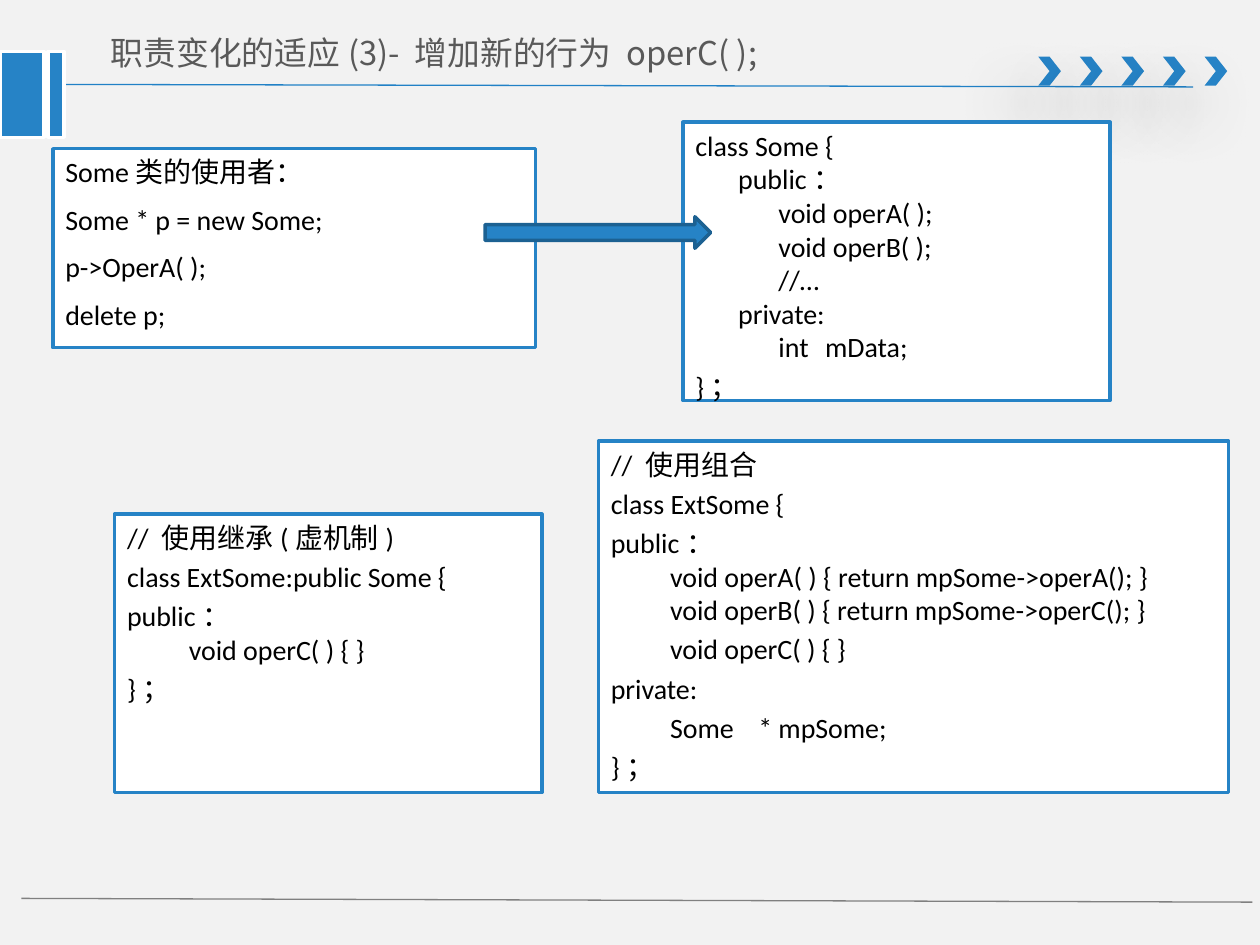
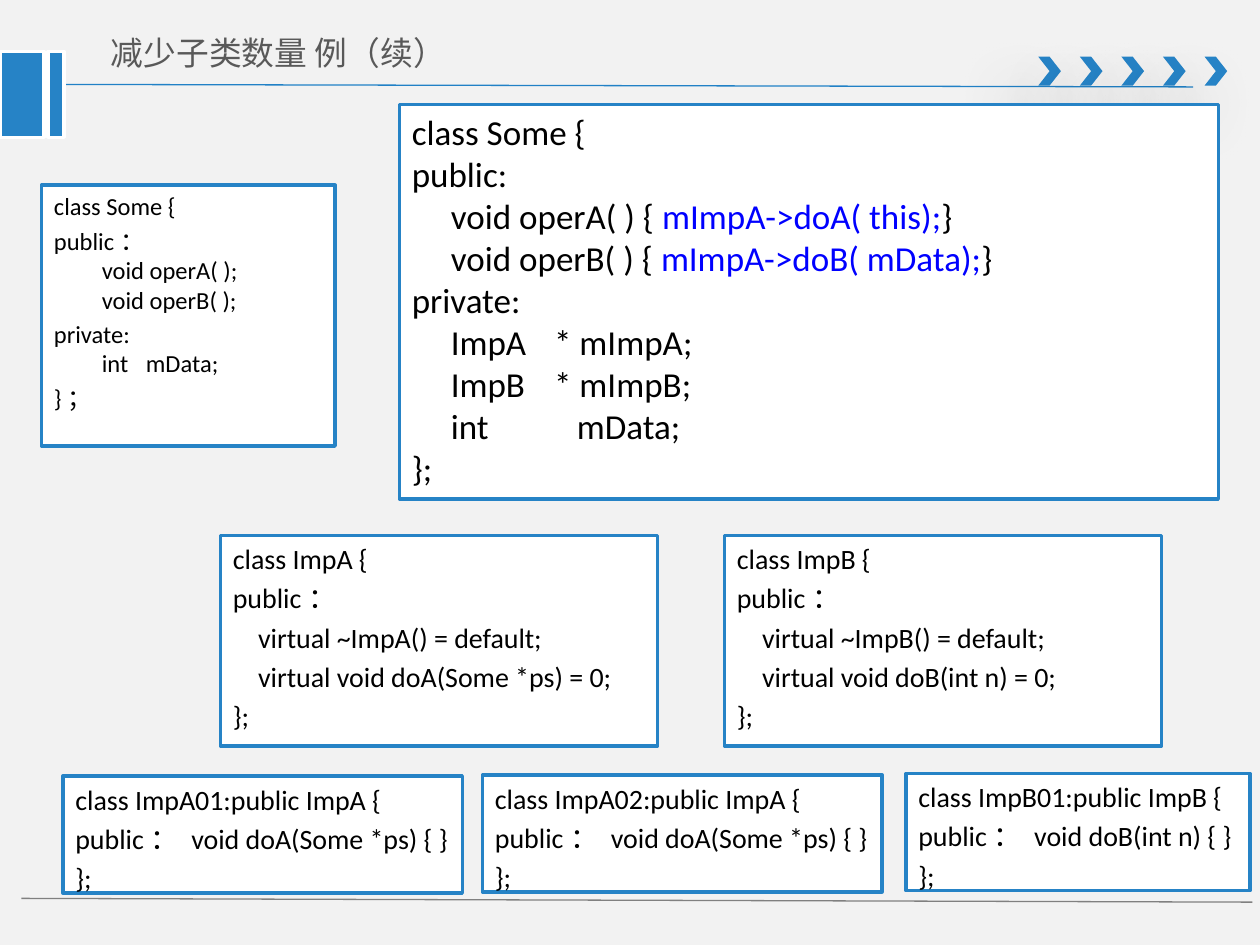
from lxml.etree import SubElement
from pptx import Presentation
from pptx.dml.color import RGBColor
from pptx.enum.shapes import MSO_CONNECTOR as Connector, MSO_SHAPE as Shape
from pptx.enum.text import MSO_ANCHOR as Anchor, MSO_AUTO_SIZE as AutoSize, PP_ALIGN as Align
from pptx.oxml.ns import qn
from pptx.util import Inches, Pt

# ---- Content: one grid unit is a tenth of the slide's width ----
# In code, each item is a block; "\n" starts a new line of the same block,
# "\t" moves to the next tab stop and |...| marks delegated calls.
COLUMNS, ROWS = 10, 7.5


def implementor(letter, parameter):
    return [f"class Imp{letter} {{", "public：", f"\tvirtual ~Imp{letter}() = default;",
            f"\tvirtual void do{letter}({parameter}) = 0;", "};"]


def concrete(letter, number, parameter):
    return [f"class Imp{letter}{number}:public Imp{letter} {{",
            f"public：\tvoid do{letter}({parameter}) {{ }}", "};"]


SLIDES = [
    {
        "title": "职责变化的适应(3)- 增加新的行为 operC( );",
        "title_width": 7.18,
        "boxes": [
            {"at": (5.42, 0.97, 3.39, 2.21), "stops": (0.34, 0.66, 1.03), "code": [
                "class Some {\n\tpublic：\n\t\tvoid operA( );\n\t\tvoid operB( );\n"
                "\t\t//…\n\tprivate:\n\t\tint\tmData;",
                "}；"]},
            {"at": (0.91, 4.08, 3.39, 2.21), "stops": (0.49,), "code": [
                "// 使用继承(虚机制)",
                "class ExtSome:public Some {",
                "public：\n\tvoid operC( ) { }",
                "}；"]},
            {"at": (4.75, 3.5, 5, 2.79), "stops": (0.47, 1.17), "code": [
                "// 使用组合",
                "class ExtSome {",
                "public：\n\tvoid operA( ) { return mpSome->operA(); }\n"
                "\tvoid operB( ) { return mpSome->operC(); }",
                "\tvoid operC( ) { }",
                "private:",
                "\tSome\t* mpSome;",
                "}；"]},
            {"at": (0.42, 1.18, 3.83, 1.58), "gap": 0.5, "code": [
                "Some类的使用者：", "Some * p = new Some;", "p->OperA( );", "delete p;"]},
        ],
        "arrow": (3.85, 1.72, 1.79, 0.25),
    },
    {
        "title": "减少子类数量 例（续）",
        "title_width": 3.47,
        "boxes": [
            {"at": (0.33, 1.47, 2.33, 2.07), "size": 14, "stops": (0.38, 0.73), "code": [
                "class Some {",
                "public：\n\tvoid operA( );\n\tvoid operB( );",
                "private:\n\tint\tmData;",
                "}；"]},
            {"at": (3.17, 0.83, 6.5, 3.13), "size": 20, "gap": 0, "stops": (0.31, 1.13, 1.31),
             "code": [
                "class Some {",
                "public:",
                "\tvoid operA( ) { |mImpA->doA( this);|}",
                "\tvoid operB( ) { |mImpA->doB( mData);|}",
                "private:",
                "\tImpA\t* mImpA;",
                "\tImpB\t* mImpB;",
                "\tint\t\tmData;",
                "};"]},
            {"at": (1.75, 4.25, 3.47, 1.67), "stops": (0.2,), "code": implementor("A", "Some *ps")},
            {"at": (5.75, 4.25, 3.47, 1.67), "stops": (0.2,), "code": implementor("B", "int n")},
            {"at": (0.5, 6.16, 3.17, 0.93), "stops": (0.92,),
             "code": concrete("A", "01", "Some *ps")},
            {"at": (3.83, 6.15, 3.17, 0.93), "stops": (0.92,),
             "code": concrete("A", "02", "Some *ps")},
            {"at": (7.19, 6.14, 2.73, 0.93), "stops": (0.92,),
             "code": concrete("B", "01", "int n")},
        ],
    },
]

# ---- Shared look ----
COLORS = {"paper": "F2F2F2", "accent": "2683C6", "rule": "2181C6", "arrow_edge": "1C6192",
          "footer": "808080", "white": "FFFFFF", "title": "595959", "code": "000000",
          "call": "0000FF", "shadow": "000000"}
CODE_FONT, CJK_FONT = "Calibri", "Noto Sans CJK SC"
RULES = [((0.4, 0.67), (9.47, 0.69), "rule"), ((0.17, 7.13), (9.94, 7.16), "footer")]
BANDS = [(0, 0.41, 0.35, 0.68), (0.38, 0.41, 0.13, 0.68)]
CHEVRONS, CHEVRON_STEP, CHEVRON_AT = 5, 0.33, (8.24, 0.45, 0.18, 0.23)


def rgb(name):
    return RGBColor.from_string(COLORS[name])


def add_run(paragraph, text, size, font, color):
    run = paragraph.add_run()
    run.text = text
    run.font.size, run.font.name = Pt(size), font
    run.font.color.rgb = rgb(color)
    SubElement(run.font._element, qn("a:ea"), typeface=CJK_FONT)


def add_figure(slide, kind, at, fill, edge=None):
    figure = slide.shapes.add_shape(kind, *map(Inches, at))
    figure.shadow.inherit = False
    figure.fill.solid()
    figure.fill.fore_color.rgb = rgb(fill)
    if edge:
        figure.line.color.rgb = rgb(edge)
        figure.line.width = Pt(2)
    else:
        figure.line.fill.background()
    return figure


def add_soft_shadow(figure):
    effects = figure._element.spPr.find(qn("a:effectLst"))
    shadow = SubElement(effects, qn("a:outerShdw"), blurRad=str(Pt(36)), dist=str(Pt(24)),
                        dir=str(130 * 60000), rotWithShape="0")
    color = SubElement(shadow, qn("a:srgbClr"), val=COLORS["shadow"])
    SubElement(color, qn("a:alpha"), val="38000")


def add_frame(slide):
    """Background, rules, chevrons and side bands of every slide."""
    slide.background.fill.solid()
    slide.background.fill.fore_color.rgb = rgb("paper")
    for start, end, color in RULES:
        rule = slide.shapes.add_connector(Connector.STRAIGHT, *map(Inches, start + end))
        rule.line.color.rgb = rgb(color)
        rule.line.width = Pt(0.75)
        SubElement(rule._element.spPr, qn("a:effectLst"))
    left, *rest = CHEVRON_AT
    for index in range(CHEVRONS):
        at = (left + index * CHEVRON_STEP, *rest)
        add_soft_shadow(add_figure(slide, Shape.CHEVRON, at, "accent"))
    for band in BANDS:
        add_figure(slide, Shape.RECTANGLE, band, "accent", "white")


def set_title(slide, text, width):
    title = slide.shapes.title
    title.left, title.top, title.width, title.height = map(Inches, (0.74, 0.14, width, 0.55))
    frame = title.text_frame
    frame.auto_size, frame.word_wrap = AutoSize.NONE, True
    frame.vertical_anchor = Anchor.MIDDLE
    frame.margin_left = frame.margin_right = Inches(0.14)
    frame.margin_top = frame.margin_bottom = Inches(0.07)
    heading = frame.paragraphs[0]
    heading.alignment = Align.LEFT
    add_run(heading, text, 18.7, CJK_FONT, "title")


def set_tab_stops(paragraph, stops):
    tabs = SubElement(paragraph._p.get_or_add_pPr(), qn("a:tabLst"))
    for stop in stops:
        SubElement(tabs, qn("a:tab"), pos=str(Inches(stop)), algn="l")


def add_code_box(slide, at, code, size=16, gap=0.2, stops=()):
    """White box of code; gap is the space before a block, as a share of the type size."""
    frame = add_figure(slide, Shape.RECTANGLE, at, "white", "accent").text_frame
    frame.word_wrap = True
    frame.vertical_anchor = Anchor.TOP
    lines = [(line, block > 0 and row == 0)
             for block, text in enumerate(code) for row, line in enumerate(text.split("\n"))]
    for index, (line, opens_block) in enumerate(lines):
        paragraph = frame.add_paragraph() if index else frame.paragraphs[0]
        paragraph.alignment = Align.LEFT
        paragraph.space_before = Pt(size * gap if opens_block else 0)
        if stops:
            set_tab_stops(paragraph, stops)
        for part, text in enumerate(line.split("|")):
            add_run(paragraph, text, size, CODE_FONT, "call" if part % 2 else "code")


def main():
    deck = Presentation()
    deck.slide_width, deck.slide_height = Inches(COLUMNS), Inches(ROWS)
    title_only = deck.slide_layouts[5]
    for content in SLIDES:
        slide = deck.slides.add_slide(title_only)
        add_frame(slide)
        set_title(slide, content["title"], content["title_width"])
        for box in content["boxes"]:
            add_code_box(slide, **box)
        if "arrow" in content:
            add_figure(slide, Shape.RIGHT_ARROW, content["arrow"], "accent", "arrow_edge")
    deck.save("out.pptx")


if __name__ == "__main__":
    main()
